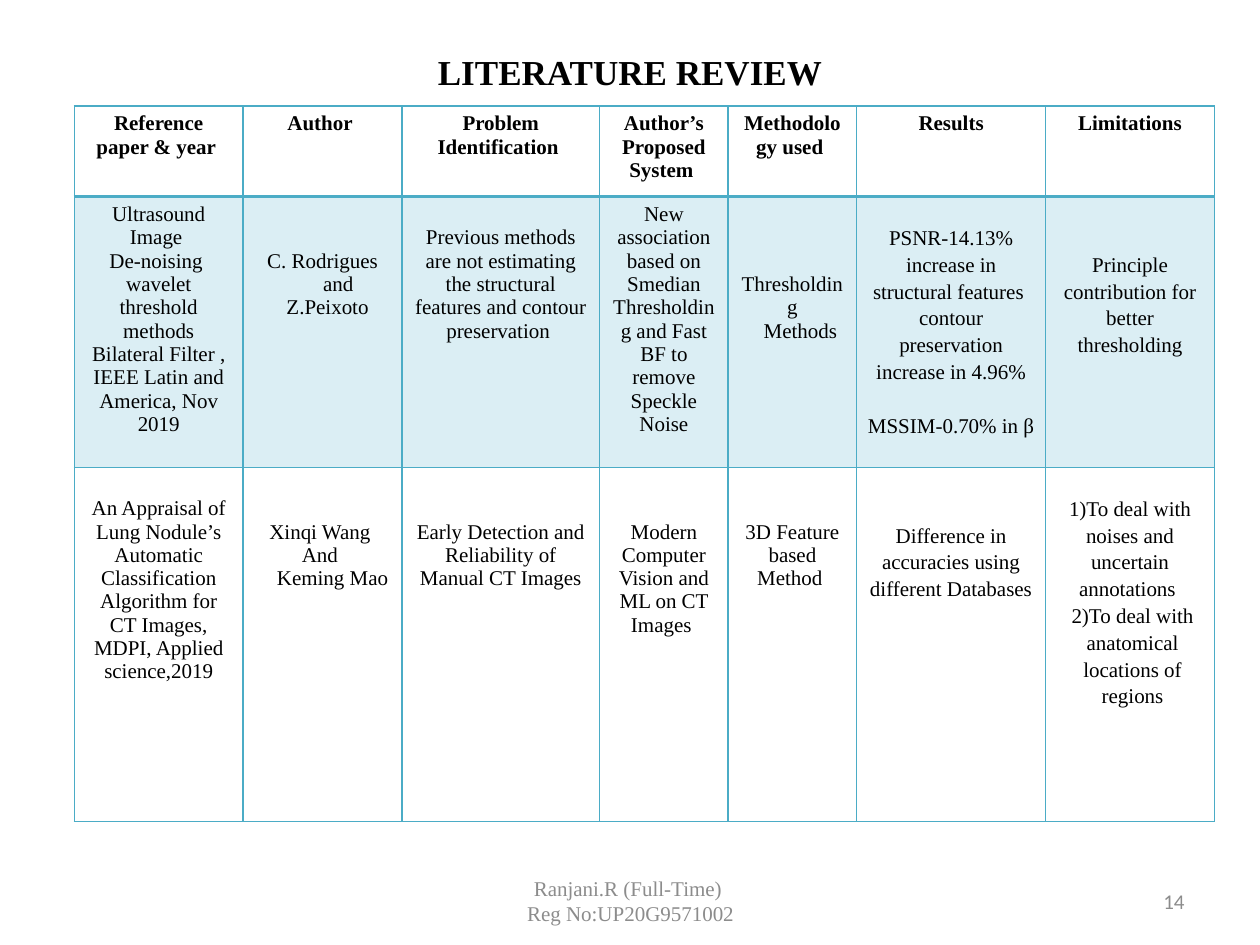
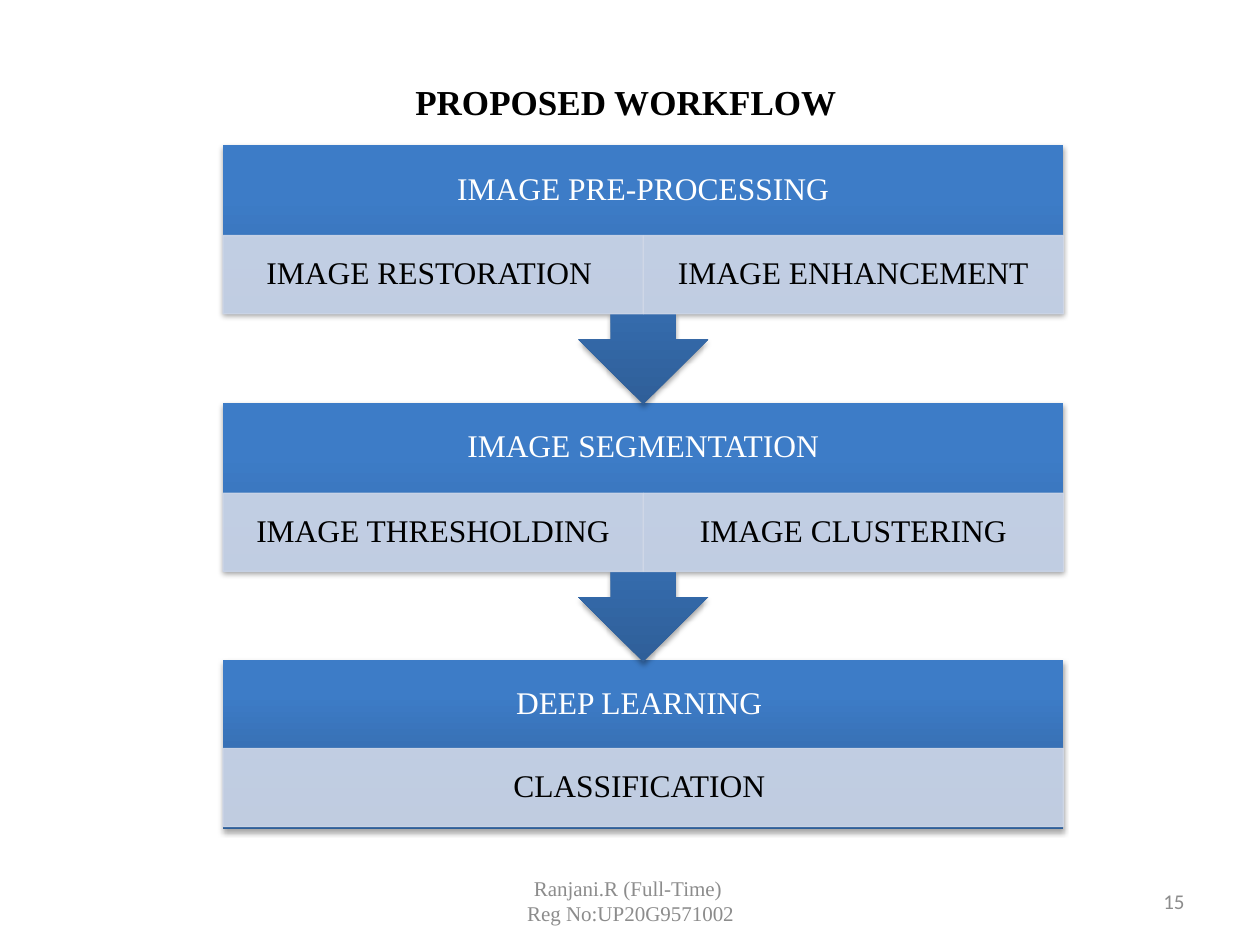
"""Build the literature review and proposed workflow slides."""
import pptx
import pptx.dml.color
import pptx.enum.shapes
import pptx.enum.text
import pptx.oxml
import pptx.oxml.ns
import pptx.util

Inches, Pt = pptx.util.Inches, pptx.util.Pt
RGBColor = pptx.dml.color.RGBColor
ALIGN, ANCHOR = pptx.enum.text.PP_ALIGN, pptx.enum.text.MSO_ANCHOR
SHAPE = pptx.enum.shapes.MSO_SHAPE
qn = pptx.oxml.ns.qn

BLACK = RGBColor(0x00, 0x00, 0x00)
WHITE = RGBColor(0xFF, 0xFF, 0xFF)
GREY = RGBColor(0x8C, 0x8C, 0x8C)
TEAL = RGBColor(0x4B, 0xAC, 0xC6)
PALE_TEAL = RGBColor(0xDB, 0xEE, 0xF4)
DEEP_BLUE = RGBColor(0x2F, 0x5F, 0x99)
BLUE = RGBColor(0x3D, 0x7C, 0xC7)
PALE_BLUE = RGBColor(0xD0, 0xD8, 0xE8)

SERIF = "Times New Roman"
TITLE_FONT = {"name": SERIF, "size": Pt(20), "bold": True}
HEADING_FONT = {"name": SERIF, "size": Pt(12), "bold": True}
BODY_FONT = {"name": SERIF, "size": Pt(12), "bold": False}
STAGE_FONT = {"name": SERIF, "size": Pt(18)}
NUMBER_FONT = {"name": "Calibri", "size": Pt(12)}
CENTRED = {"alignment": ALIGN.CENTER}
RIGHT = {"alignment": ALIGN.RIGHT}
LOOSE = {"alignment": ALIGN.CENTER, "line_spacing": 1.15}
TIGHT = {"alignment": ALIGN.CENTER, "line_spacing": 0.9}

FOOTER = ["Ranjani.R (Full-Time) ", "Reg No:UP20G9571002"]

REVIEW_TITLE = "LITERATURE REVIEW"
REVIEW_HEADINGS = ["Reference paper & year ", "Author ", "Problem Identification ",
                   "Author’s Proposed System ", "Methodology used ", "Results",
                   "Limitations"]
# Each study cell: lines to drop from the top, then paragraphs (text or text with formats).
STUDIES = [
    [(0, ["Ultrasound Image ", "De-noising ", "wavelet threshold methods",
          "Bilateral Filter , IEEE Latin and America, Nov 2019"]),
     (2, ["C. Rodrigues", ("and", {"indent": 0.25}), ("Z.Peixoto", {"indent": 0.08})]),
     (1, ["Previous methods are not estimating the structural features and contour "
          "preservation "]),
     (0, ["New association based on Smedian Thresholding and Fast BF to remove "
          "Speckle Noise"]),
     (3, ["Thresholding", ("Methods ", {"indent": 0.17})]),
     (1, ["PSNR-14.13% increase in structural features ",
          "contour preservation increase in 4.96%",
          ("MSSIM-0.70% in β", {"before": 15.4})]),
     (2, ["Principle contribution for better thresholding"])],
    [(1, ["An Appraisal of Lung Nodule’s Automatic Classification Algorithm for "
          "CT Images, MDPI, Applied science,2019"]),
     (2, ["Xinqi Wang ", "And ", ("Keming Mao", {"indent": 0.16})]),
     (2, ["Early Detection and Reliability of Manual CT Images"]),
     (2, ["Modern Computer Vision and ML on CT Images "]),
     (2, ["3D Feature based Method "]),
     (2, ["Difference in accuracies using different Databases"]),
     (1, ["1)To deal with noises and uncertain annotations ",
          ("2)To deal with anatomical locations of regions", {"indent": 0.04})])],
]
COLUMN_WIDTHS = [1.34, 1.26, 1.57, 1.02, 1.02, 1.5, 1.34]
ROW_HEIGHTS = [0.72, 2.15, 2.81]
FIRST_LOOSE_COLUMN = 5
LINE_HEIGHT = 0.185

WORKFLOW_TITLE = "PROPOSED WORKFLOW "
STAGES = [
    ("IMAGE PRE-PROCESSING", ["IMAGE RESTORATION ", "IMAGE ENHANCEMENT"]),
    ("IMAGE SEGMENTATION", ["IMAGE THRESHOLDING", "IMAGE CLUSTERING"]),
    ("DEEP LEARNING ", ["CLASSIFICATION "]),
]
STAGE_LEFT, STAGE_WIDTH = 1.77, 6.67
FIRST_TOP, LAST_TOP = 1.15, 5.24
BODY_HEIGHT, CALLOUT_HEIGHT, TASK_HEIGHT = 1.34, 2.06, 0.62


def apply(target, formats):
    """Set each named attribute on the target."""
    for attribute, value in formats.items():
        setattr(target, attribute, value)


def inset(frame, left, top, right, bottom):
    """Set the four margins of a frame or cell in inches."""
    apply(frame, {"margin_left": Inches(left), "margin_top": Inches(top),
                  "margin_right": Inches(right), "margin_bottom": Inches(bottom)})


def write(frame, paragraphs, font, color, layout=CENTRED):
    """Fill a text frame with formatted paragraphs."""
    frame.word_wrap = True
    for index, entry in enumerate(paragraphs):
        text, extra = (entry, {}) if isinstance(entry, str) else entry
        paragraph = frame.paragraphs[0] if index == 0 else frame.add_paragraph()
        apply(paragraph, layout)
        if "indent" in extra:
            paragraph._p.get_or_add_pPr().set("marL", str(Inches(extra["indent"])))
        if "before" in extra:
            paragraph.space_before = Pt(extra["before"])
        run = paragraph.add_run()
        run.text = text
        apply(run.font, font)
        run.font.color.rgb = color


def add_titled_slide(deck, title, title_height, number):
    """Add a slide with its title, footer and number."""
    slide = deck.slides.add_slide(deck.slide_layouts[5])
    heading = slide.shapes.title
    apply(heading, {"left": Inches(0.5), "top": Inches(0.3),
                    "width": Inches(9), "height": Inches(title_height)})
    heading.text_frame.vertical_anchor = ANCHOR.MIDDLE
    write(heading.text_frame, [title], TITLE_FONT, BLACK)
    for left, width, lines, font, layout in (
            (7.17, 2.33, [str(number)], NUMBER_FONT, RIGHT),
            (3.42, 3.17, FOOTER, BODY_FONT, CENTRED)):
        frame = slide.shapes.add_textbox(
            Inches(left), Inches(6.95), Inches(width), Inches(0.4)).text_frame
        frame.vertical_anchor = ANCHOR.MIDDLE
        write(frame, lines, font, GREY, layout)
    return slide


def add_borders(cell, widths):
    """Draw the left, right, top and bottom borders of a cell."""
    for side, width in zip("LRTB", widths):
        cell._tc.get_or_add_tcPr().append(pptx.oxml.parse_xml(
            f'<a:ln{side} {pptx.oxml.ns.nsdecls("a")} w="{Pt(width)}"><a:solidFill>'
            f'<a:srgbClr val="{TEAL}"/></a:solidFill></a:ln{side}>'))


def build_review(deck):
    """Build the literature review table."""
    slide = add_titled_slide(deck, REVIEW_TITLE, 0.54, 14)
    review = slide.shapes.add_table(
        len(ROW_HEIGHTS), len(COLUMN_WIDTHS), Inches(0.59), Inches(0.84),
        Inches(sum(COLUMN_WIDTHS)), Inches(sum(ROW_HEIGHTS))).table
    apply(review, {"first_row": False, "horz_banding": False})
    for column, width in zip(review.columns, COLUMN_WIDTHS):
        column.width = Inches(width)
    for row, height in zip(review.rows, ROW_HEIGHTS):
        row.height = Inches(height)
    contents = [[(0, [heading]) for heading in REVIEW_HEADINGS]] + STUDIES
    for r, studies in enumerate(contents):
        for c, (drop, paragraphs) in enumerate(studies):
            cell = review.cell(r, c)
            loose = r > 0 and c >= FIRST_LOOSE_COLUMN
            if loose:
                inset(cell, 0.07, drop * LINE_HEIGHT * 1.15, 0.07, 0)
            else:
                inset(cell, 0.1, 0.05 + drop * LINE_HEIGHT, 0.1, 0.05)
            write(cell.text_frame, paragraphs, BODY_FONT if r else HEADING_FONT,
                  BLACK, LOOSE if loose else CENTRED)
            add_borders(cell, (1, 1, 2 if r == 1 else 1, 2 if r == 0 else 1))
            if r == 1:
                cell.fill.solid()
                cell.fill.fore_color.rgb = PALE_TEAL
            else:
                cell.fill.background()


def add_stage(slide, name, preset, top, height, header_height):
    """Add a shaded stage block with its name in the header band."""
    stage = slide.shapes.add_shape(preset, Inches(STAGE_LEFT), Inches(top),
                                   Inches(STAGE_WIDTH), Inches(height))
    stage.fill.gradient()
    stage.fill.gradient_angle = 90
    for stop, color, position in zip(stage.fill.gradient_stops, (DEEP_BLUE, BLUE), (0, 0.8)):
        stop.color.rgb = color
        stop.position = position
    stage.line.fill.background()
    stage.shadow.inherit = False
    stage._element.spPr.find(qn("a:effectLst")).append(pptx.oxml.parse_xml(
        f'<a:outerShdw {pptx.oxml.ns.nsdecls("a")} blurRad="{Pt(3.1)}" dist="{Pt(1.8)}" '
        'dir="5400000" rotWithShape="0"><a:srgbClr val="000000"><a:alpha val="35000"/>'
        '</a:srgbClr></a:outerShdw>'))
    inset(stage.text_frame, 0.14, 0, 0.14, BODY_HEIGHT - header_height)
    stage.text_frame.vertical_anchor = ANCHOR.MIDDLE
    write(stage.text_frame, [name], STAGE_FONT, WHITE, TIGHT)


def add_task(slide, name, left, top, width):
    """Add a translucent task band."""
    task = slide.shapes.add_shape(SHAPE.RECTANGLE, Inches(left), Inches(top),
                                  Inches(width), Inches(TASK_HEIGHT))
    task.shadow.inherit = False
    task.line.width = Pt(0.75)
    for fill in (task.fill, task.line.fill):
        fill.solid()
        fill.fore_color.rgb = PALE_BLUE
    for color in task._element.spPr.iter(qn("a:srgbClr")):
        color.append(pptx.oxml.parse_xml(
            f'<a:alpha {pptx.oxml.ns.nsdecls("a")} val="90000"/>'))
    inset(task.text_frame, 0.14, 0.03, 0.14, 0.03)
    task.text_frame.vertical_anchor = ANCHOR.MIDDLE
    write(task.text_frame, [name], STAGE_FONT, BLACK, TIGHT)


def build_workflow(deck):
    """Build the stages from last to first so each arrow overlaps the next block."""
    slide = add_titled_slide(deck, WORKFLOW_TITLE, 1.01, 15)
    last = len(STAGES) - 1
    pitch = (LAST_TOP - FIRST_TOP) / last
    for index in range(last, -1, -1):
        name, tasks = STAGES[index]
        top = FIRST_TOP + index * pitch
        if index == last:
            preset, height, header_height = SHAPE.RECTANGLE, BODY_HEIGHT, 0.7
        else:
            preset, height, header_height = SHAPE.DOWN_ARROW_CALLOUT, CALLOUT_HEIGHT, 0.72
        add_stage(slide, name, preset, top, height, header_height)
        width = STAGE_WIDTH / len(tasks)
        for position, task in enumerate(tasks):
            add_task(slide, task, STAGE_LEFT + position * width, top + header_height, width)


def main():
    """Create and save the deck."""
    deck = pptx.Presentation()
    apply(deck, {"slide_width": Inches(10), "slide_height": Inches(7.5)})
    build_review(deck)
    build_workflow(deck)
    deck.save("out.pptx")


if __name__ == "__main__":
    main()
